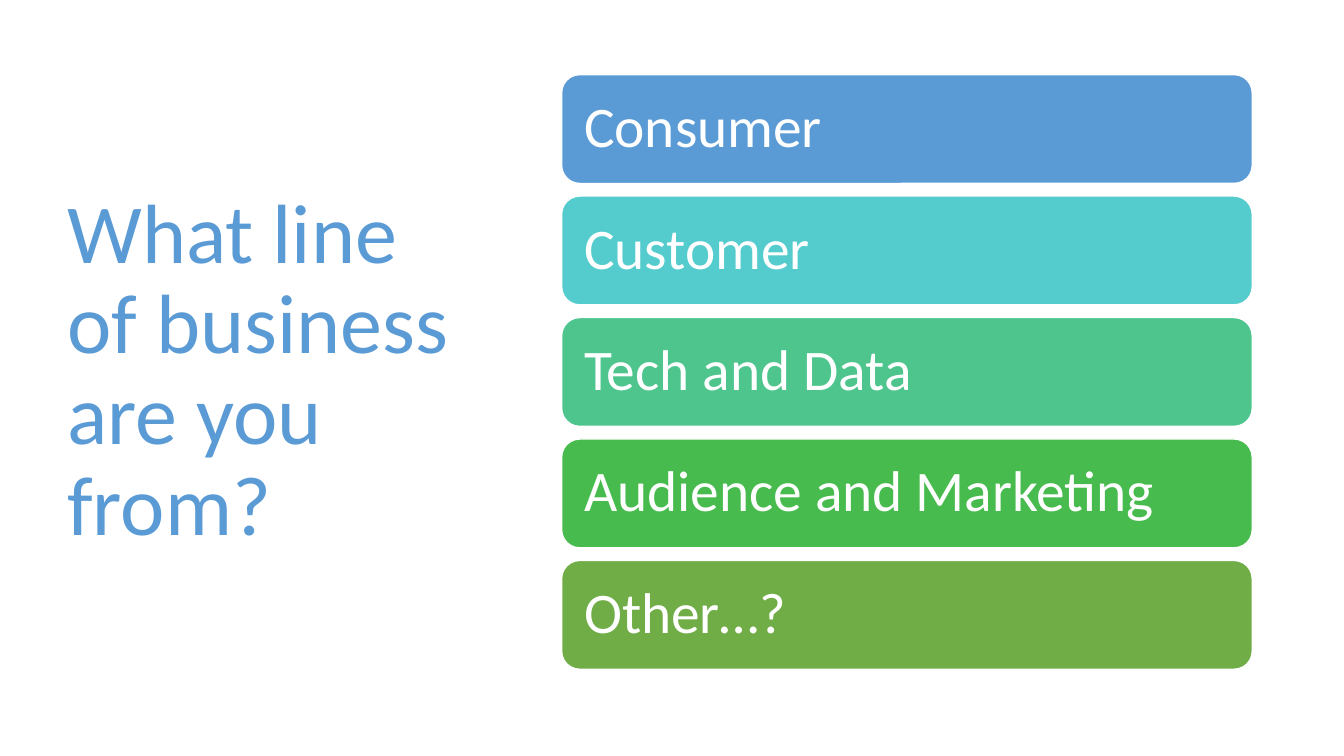
from pptx import Presentation
from pptx.dml.color import RGBColor
from pptx.enum.shapes import MSO_SHAPE
from pptx.enum.text import MSO_ANCHOR, PP_ALIGN
from pptx.util import Inches, Pt

WHITE = RGBColor(0xFF, 0xFF, 0xFF)
BLUE = RGBColor(0x5B, 0x9B, 0xD5)
TURQUOISE = RGBColor(0x54, 0xCC, 0xCD)
MINT = RGBColor(0x4D, 0xC5, 0x8D)
GREEN = RGBColor(0x48, 0xBB, 0x4F)
OLIVE = RGBColor(0x70, 0xAD, 0x47)

BUSINESS_LINES = [
    ("Consumer", BLUE),
    ("Customer", TURQUOISE),
    ("Tech and Data", MINT),
    ("Audience and Marketing", GREEN),
    ("Other…?", OLIVE),
]
BAR_TOP, BAR_HEIGHT, BAR_PITCH = 0.74, 1.08, 1.205


def write_text(sp, text, size, color):
    tf = sp.text_frame
    tf.word_wrap = True
    tf.vertical_anchor = MSO_ANCHOR.MIDDLE
    tf.text = text
    p = tf.paragraphs[0]
    p.alignment = PP_ALIGN.LEFT
    p.line_spacing = 0.9
    font = p.runs[0].font
    font.name = "Calibri"
    font.size = Pt(size)
    font.color.rgb = color


prs = Presentation()
prs.slide_width = Inches(13.33)
prs.slide_height = Inches(7.5)
s = prs.slides.add_slide(prs.slide_layouts[6])

title = s.shapes.add_textbox(Inches(0.57), Inches(0.68), Inches(4.16), Inches(6.02))
write_text(title, "What line of business are you from?", 60, BLUE)

for i, (name, color) in enumerate(BUSINESS_LINES):
    bar = s.shapes.add_shape(
        MSO_SHAPE.ROUNDED_RECTANGLE,
        Inches(5.57), Inches(BAR_TOP + i * BAR_PITCH), Inches(6.85), Inches(BAR_HEIGHT),
    )
    bar.shadow.inherit = False
    bar.fill.solid()
    bar.fill.fore_color.rgb = color
    bar.line.color.rgb = WHITE
    bar.line.width = Pt(1)
    write_text(bar, name, 41, WHITE)
    tf = bar.text_frame
    tf.margin_left = tf.margin_right = Inches(0.17)
    tf.margin_top = tf.margin_bottom = Inches(0.17)

prs.save("out.pptx")
